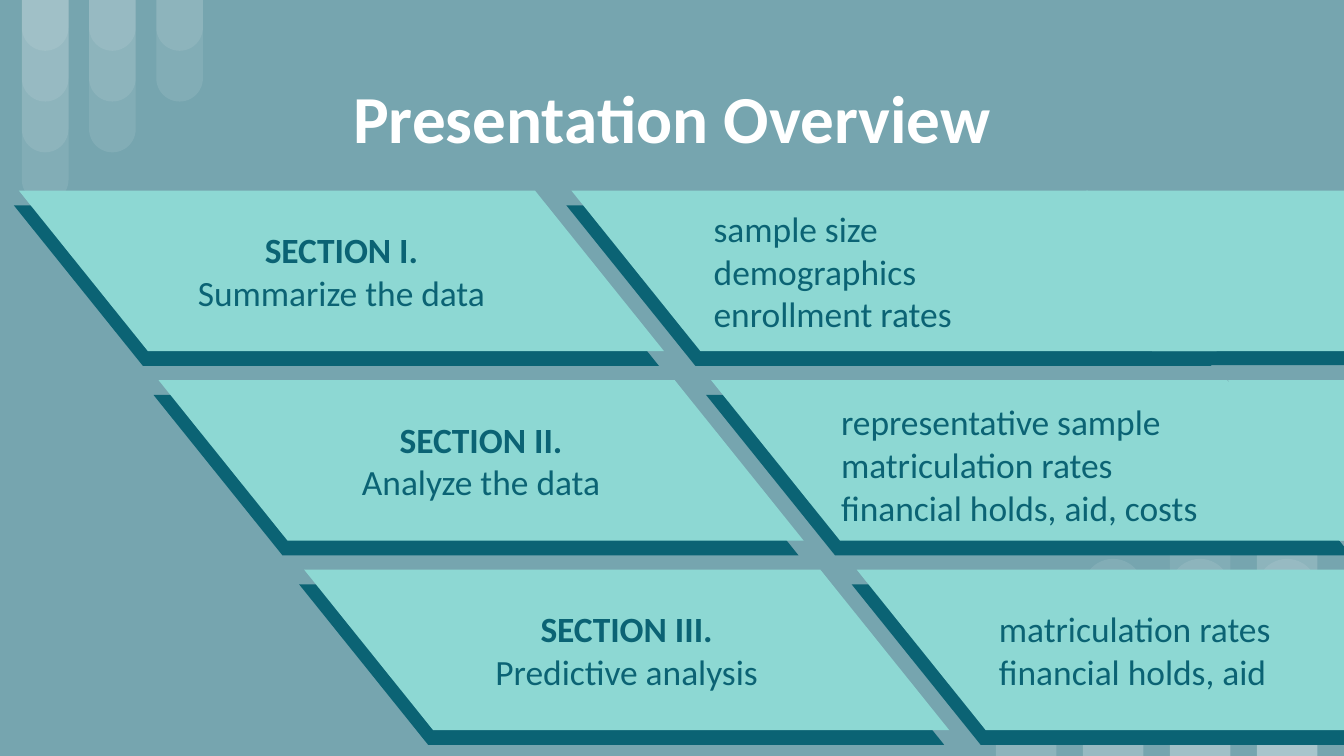
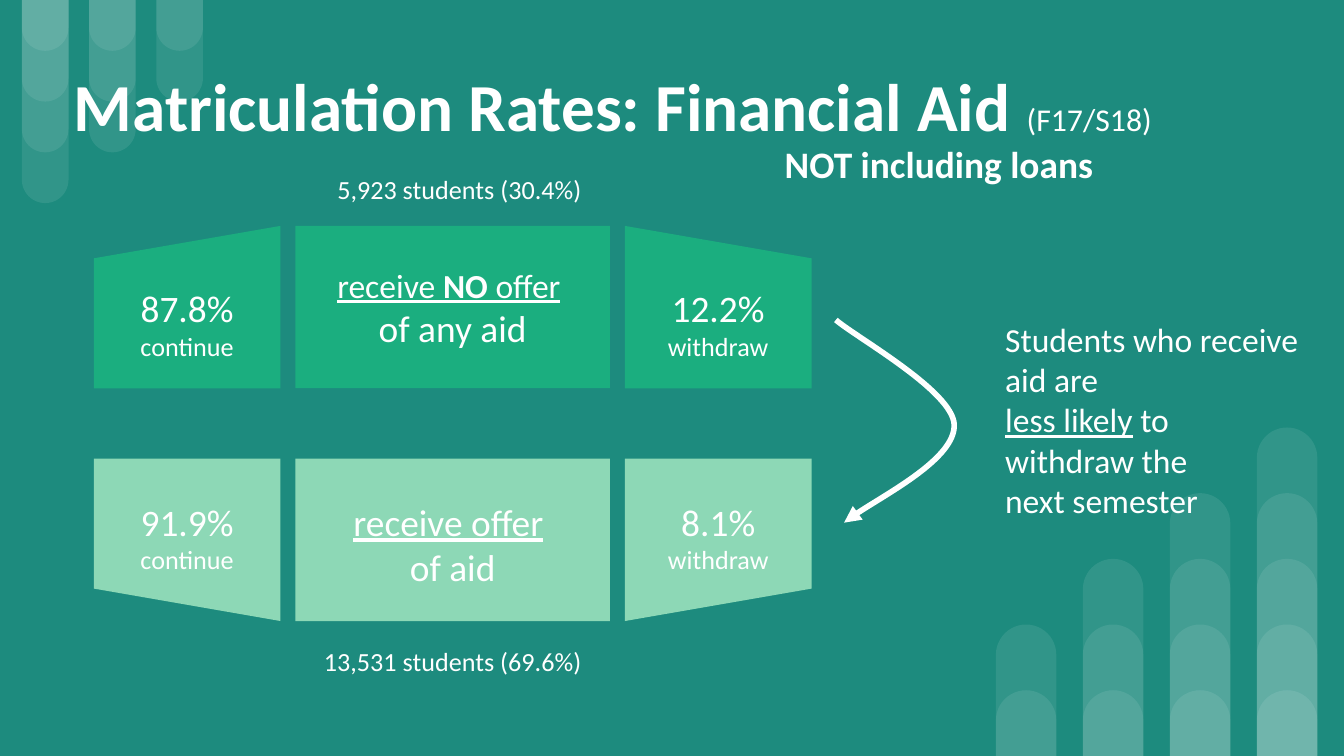
from lxml import etree
from pptx import Presentation
from pptx.dml.color import RGBColor
from pptx.enum import shapes, text
from pptx.oxml.ns import qn
from pptx.util import Pt

WHITE = RGBColor(0xFF, 0xFF, 0xFF)
BLUE_GREY = RGBColor(0x76, 0xA5, 0xAF)
TEAL = RGBColor(0x1D, 0x8B, 0x7E)
DARK_TEAL = RGBColor(0x0B, 0x63, 0x74)
AQUA = RGBColor(0x8D, 0xD8, 0xD3)
GREEN = RGBColor(0x1B, 0xAE, 0x7F)
MINT = RGBColor(0x8D, 0xD8, 0xB6)
FONT = "Calibri"
WIDTH, HEIGHT = 720, 405

KIND = shapes.MSO_SHAPE
LEFT, CENTER = text.PP_ALIGN.LEFT, text.PP_ALIGN.CENTER
TOP, MIDDLE = text.MSO_ANCHOR.TOP, text.MSO_ANCHOR.MIDDLE
BOLD, PLAIN = {"bold": True}, {"bold": False}
UNDERLINE = {"underline": True}
SMALL = {"size": Pt(14)}


def write(sp, paragraphs, size, color=WHITE, align=CENTER, anchor=TOP):
    """Fill a shape; a paragraph is a string or a list of (text, font settings)."""
    tf = sp.text_frame
    tf.word_wrap = True
    tf.auto_size = text.MSO_AUTO_SIZE.NONE
    tf.vertical_anchor = anchor
    tf.margin_left = tf.margin_right = tf.margin_top = tf.margin_bottom = Pt(7.2)
    for i, runs in enumerate(paragraphs):
        p = tf.add_paragraph() if i else tf.paragraphs[0]
        p.alignment = align
        for words, settings in [(runs, {})] if isinstance(runs, str) else runs:
            r = p.add_run()
            r.text = words
            r.font.name, r.font.size, r.font.color.rgb = FONT, Pt(size), color
            for name, value in settings.items():
                setattr(r.font, name, value)


def add_shape(parent, kind, box, color, flip=False, rotation=0):
    sp = parent.add_shape(kind, *map(Pt, box))
    sp.shadow.inherit = False
    sp.fill.solid()
    sp.fill.fore_color.rgb = color
    sp.line.fill.background()
    sp.rotation = rotation
    if flip:
        sp.element.spPr.find(qn("a:xfrm")).set("flipH", "1")
    return sp


def add_text(s, box, paragraphs, size, **style):
    write(s.shapes.add_textbox(*map(Pt, box)), paragraphs, size, **style)


def add_slide(prs, background):
    s = prs.slides.add_slide(prs.slide_layouts[5])
    s.background.fill.solid()
    s.background.fill.fore_color.rgb = background
    return s


def set_title(s, box, runs, **style):
    sp = s.shapes.title
    sp.left, sp.top, sp.width, sp.height = map(Pt, box)
    write(sp, [runs], 36, **style)


def add_bars(s, left, pitch, width, step, counts, hanging):
    """Overlapping translucent bars, hanging from the top or standing on the bottom."""
    group = s.shapes.add_group_shape()
    for column, count in enumerate(counts):
        for level in range(1, count + 1):
            height = level * step
            top = 0 if hanging else HEIGHT - height
            bar = add_shape(group.shapes, KIND.ROUND_2_SAME_RECTANGLE,
                            (left + column * pitch, top, width, height), WHITE,
                            rotation=180 if hanging else 0)
            bar.adjustments[0] = 0.5
            color = bar.element.spPr.find(qn("a:solidFill"))[0]
            etree.SubElement(color, qn("a:alpha")).set("val", "9000")
    return group


def decorate_layout(prs, s):
    """Move the bars to the layout, so that every slide shows them."""
    tree = prs.slide_layouts[5].element.cSld.spTree
    for group in (add_bars(s, 11.7, 36, 25, 27.2, (4, 3, 2), True),
                  add_bars(s, 533.5, 46.6, 32.4, 35.2, (2, 3, 4, 5), False)):
        tree.append(group.element)


# Overview: slanted panels in three rows
PANEL_W, PANEL_H = 345.6, 86
ROW_TOP, ROW_STEP = 102.2, 101.5
DETAIL_OFFSET = 296
ROW_LEFTS = (10.2, 85, 163)


def add_slant(s, left, row, color, width=PANEL_W, drop=0):
    box = (left, ROW_TOP + row * ROW_STEP + drop, width, PANEL_H)
    return add_shape(s.shapes, KIND.FLOWCHART_DATA, box, color, flip=True)


def add_panel(s, left, row, paragraphs, align):
    add_slant(s, left - 2.7, row, DARK_TEAL, drop=7.9)
    write(add_slant(s, left, row, AQUA), paragraphs, 19, DARK_TEAL, align, MIDDLE)


def build_overview(s):
    sections = (("SECTION I.", "Summarize the data"),
                ("SECTION II.", "Analyze the data"),
                ("SECTION III.", "Predictive analysis"))
    details = (("sample size", "demographics", "enrollment rates"),
               (),
               ("matriculation rates", "financial holds, aid"))
    for row, (name, task) in enumerate(sections):
        add_panel(s, ROW_LEFTS[row], row, [[(name, BOLD)], task], CENTER)
    # Extensions carry the shorter rows to the right edge
    add_slant(s, 618.5, 0, DARK_TEAL, 109, drop=7.5)
    add_slant(s, 658, 1, AQUA, 82)
    for row, lines in enumerate(details):
        add_panel(s, ROW_LEFTS[row] + DETAIL_OFFSET, row, lines, LEFT)
    add_text(s, (443.5, 207.4, 283, 52),
             ["representative sample", "matriculation rates", "financial holds, aid, costs"],
             19, color=DARK_TEAL, align=LEFT)
    add_slant(s, 582, 0, AQUA, 176.5)
    set_title(s, (32.4, 43.2, 655.2, 38.9), [("Presentation Overview", BOLD)], anchor=MIDDLE)


# Matriculation: two rows of a middle block with a wing on each side
WING_W, BLOCK_W, BLOCK_H, GAP = 100, 168.5, 87, 8
WING_LEFT = 50.3
BLOCK_LEFT = WING_LEFT + WING_W + GAP
RIGHT_WING_LEFT = BLOCK_LEFT + BLOCK_W + GAP


def add_aid_row(s, top, color, offer, continued, withdrawn, inverted=False):
    parts = ((BLOCK_LEFT, BLOCK_W, KIND.RECTANGLE, False, offer),
             (RIGHT_WING_LEFT, WING_W, KIND.FLOWCHART_MANUAL_INPUT, True,
              [[(withdrawn + " ", {}), ("withdraw", SMALL)]]),
             (WING_LEFT, WING_W, KIND.FLOWCHART_MANUAL_INPUT, False,
              [[(continued + " ", {}), ("continue", SMALL)]]))
    for left, width, kind, flip, paragraphs in parts:
        sp = add_shape(s.shapes, kind, (left, top, width, BLOCK_H), color,
                       flip != inverted, 180 if inverted else 0)
        if inverted:
            add_text(s, (left, top + 14.4, width, 59), paragraphs, 20)
        else:
            write(sp, paragraphs, 20, anchor=MIDDLE)


def add_curved_arrow(s, start, controls):
    """Cubic curve through the control points, three to a segment."""
    builder = s.shapes.build_freeform(Pt(start[0]), Pt(start[1]))
    builder.add_line_segments([(Pt(x), Pt(y)) for x, y in controls], close=False)
    sp = builder.convert_to_shape()
    sp.shadow.inherit = False
    sp.fill.background()
    sp.line.color.rgb = WHITE
    sp.line.width = Pt(3)
    outline = next(sp.element.iter(qn("a:path")))
    segments = outline.findall(qn("a:lnTo"))
    for i in range(0, len(segments), 3):
        curve = etree.SubElement(outline, qn("a:cubicBezTo"))
        for segment in segments[i:i + 3]:
            curve.append(segment[0])
            outline.remove(segment)
    etree.SubElement(sp.line._get_or_add_ln(), qn("a:tailEnd")).set("type", "triangle")


def build_matriculation(s):
    set_title(s, (32.4, 27.4, 701.3, 58.3),
              [("Matriculation Rates: Financial Aid ", BOLD),
               ("(F17/S18)", {"size": Pt(17)})], align=LEFT)
    phrase = {"size": Pt(18), "underline": True}
    add_aid_row(s, 121, GREEN,
                [[("receive ", phrase), ("NO", {**phrase, **BOLD}), (" offer", phrase),
                  (" ", {"size": Pt(18)})], "of any aid"], "87.8%", "12.2%")
    add_aid_row(s, 245.7, MINT,
                [[("receive offer", UNDERLINE), (" ", {})], "of aid"],
                "91.9%", "8.1%", inverted=True)
    add_text(s, (156.2, 338.4, 172.8, 32.4), ["13,531 students (69.6%)"], 14)
    add_text(s, (159.8, 85.7, 172.8, 32.4), ["5,923 students (30.4%)"], 14)
    add_curved_arrow(s, (447.8, 171.4),
                     [(458.6, 180.7), (510.5, 209.5), (511.2, 227.5),
                      (511.9, 245.5), (462.2, 271.4), (452.2, 280)])
    add_text(s, (531.4, 163.5, 172.8, 146.8),
             ["Students who receive aid are",
              [("less likely", UNDERLINE), (" to withdraw the", {})],
              "next semester"], 18, align=LEFT)
    add_text(s, (413.3, 68.4, 206, 58.3), [[("NOT including loans", BOLD)]], 20, align=LEFT)


def main():
    prs = Presentation()
    prs.slide_width, prs.slide_height = Pt(WIDTH), Pt(HEIGHT)
    overview = add_slide(prs, BLUE_GREY)
    decorate_layout(prs, overview)
    build_overview(overview)
    build_matriculation(add_slide(prs, TEAL))
    prs.save("out.pptx")


if __name__ == "__main__":
    main()
